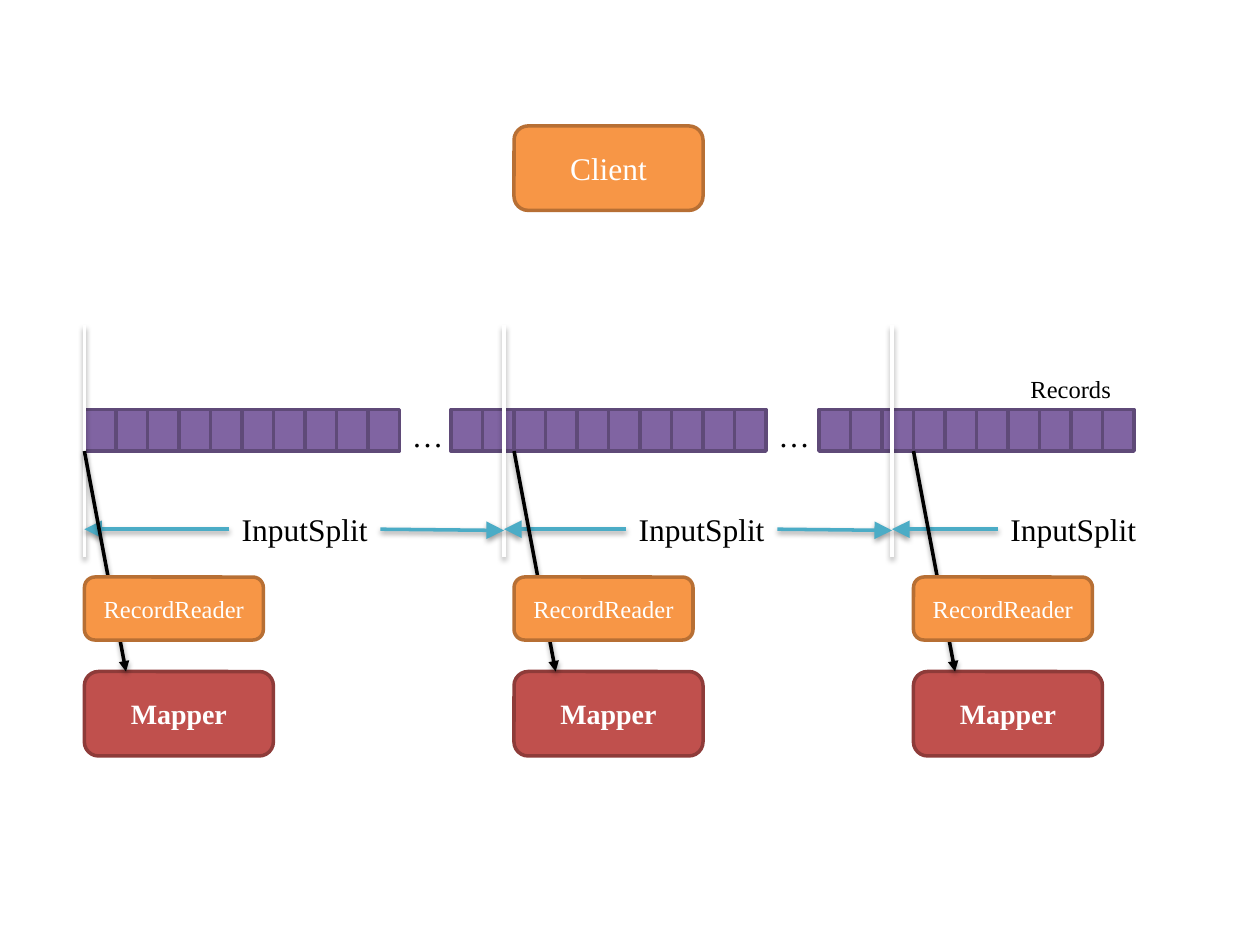
"""Draw record splits that feed mappers through record readers."""
from lxml.etree import SubElement as Sub
from pptx import Presentation
from pptx.dml.color import RGBColor
from pptx.enum.shapes import MSO_CONNECTOR as Link, MSO_SHAPE as Form
from pptx.enum.text import MSO_ANCHOR as Anchor, MSO_AUTO_SIZE as Fit, PP_ALIGN as Align
from pptx.oxml.ns import qn
from pptx.util import Inches, Pt

ORANGE = ("F79646", "B76F34")
RED = ("C0504D", "8E3B39")
PURPLE = ("8064A2", "5F4A78")
TOP, CELL, TALL = 3.25, 0.25, 0.33


def paint(part, color):
    """Give a fill, or the fill of a line, one solid colour."""
    part.solid()
    part.fore_color.rgb = RGBColor.from_string(color)


def assign(target, values):
    """Set each named attribute on the target."""
    for name, value in values.items():
        setattr(target, name, value)


def write(frame, text, size, color, align=Align.LEFT, bold=False):
    """Put one styled run into a text frame."""
    para = frame.paragraphs[0]
    para.alignment = align
    run = para.add_run()
    run.text = text
    assign(run.font, {"name": "Times New Roman", "size": Pt(size), "bold": bold})
    paint(run.font.fill, color)


def add_box(shapes, form, place, colors, text="", size=18, bold=False):
    """Add a filled shape with an outline and centred text."""
    box = shapes.add_shape(form, *map(Inches, place))
    box.shadow.inherit = False
    paint(box.fill, colors[0])
    paint(box.line.fill, colors[1])
    box.line.width = Pt(2)
    if text:
        box.text_frame.vertical_anchor = Anchor.MIDDLE
        write(box.text_frame, text, size, "FFFFFF", Align.CENTER, bold)


def add_label(shapes, place, text, size=18):
    """Add a black label that does not wrap."""
    frame = shapes.add_textbox(*map(Inches, place)).text_frame
    assign(frame, {"word_wrap": False, "auto_size": Fit.SHAPE_TO_FIT_TEXT})
    write(frame, text, size, "000000")


def add_line(shapes, start, end, color, head=None, alpha=38, drop=1.6):
    """Add a line with a soft shadow and, if sized, an arrowhead."""
    line = shapes.add_connector(Link.STRAIGHT, *map(Inches, (*start, *end)))
    paint(line.line.fill, color)
    line.line.width = Pt(2)
    props = line._element.spPr
    if head:
        Sub(props.find(qn("a:ln")), qn("a:tailEnd"), type="triangle", w=head, len=head)
    shade = Sub(Sub(props, qn("a:effectLst")), qn("a:outerShdw"), blurRad=str(Pt(3.1)),
                dist=str(Pt(drop)), dir="5400000", rotWithShape="0")
    tint = Sub(shade, qn("a:srgbClr"), val="000000")
    Sub(tint, qn("a:alpha"), val=str(alpha * 1000))


def add_split(shapes, left, text, right=None):
    """Add a split label with arrows out to its borders."""
    group = shapes.add_group_shape().shapes
    add_line(group, (text, 4.2), (left, 4.2), "4BACC6", "lg")
    if right:
        add_line(group, (text + 1.2, 4.2), (right, 4.21), "4BACC6", "lg")
    add_label(group, (text, 4, 1.21, 0.4), "InputSplit")


def add_mapper(shapes, left):
    """Add a mapper, its reader and the arrow between records and mapper."""
    group = shapes.add_group_shape().shapes
    add_box(group, Form.ROUNDED_RECTANGLE, (left, 5.33, 1.5, 0.67), RED, "Mapper", 16, True)
    add_line(group, (left, TOP + TALL), (left + 0.33, 5.33), "000000", "med")
    add_box(group, Form.ROUNDED_RECTANGLE, (left, 4.58, 1.42, 0.5), ORANGE, "RecordReader", 14)


def main():
    """Build and save the slide."""
    deck = Presentation()
    assign(deck, {"slide_width": Inches(10), "slide_height": Inches(7.5)})
    shapes = deck.slides.add_slide(deck.slide_layouts[6]).shapes
    for left in (0.67, 3.58, 6.5):
        for col in range(10):
            add_box(shapes, Form.RECTANGLE, (left + col * CELL, TOP, CELL, TALL), PURPLE)
    for left in (3.17, 6.08):
        add_label(shapes, (left, TOP, 0.45, 0.4), "…")
    for left in (0.67, 4, 7.08):
        add_line(shapes, (left, 2.58), (left, 4.42), "FFFFFF", alpha=35, drop=1.8)
    for split in ((0.67, 1.82, 4), (4, 4.97, 7.08), (7.08, 7.92)):
        add_split(shapes, *split)
    add_box(shapes, Form.ROUNDED_RECTANGLE, (4.08, 1, 1.5, 0.67), ORANGE, "Client")
    add_label(shapes, (8.08, 2.92, 0.85, 0.34), "Records", 14)
    for left in (0.67, 4.08, 7.25):
        add_mapper(shapes, left)
    deck.save("out.pptx")


main()
